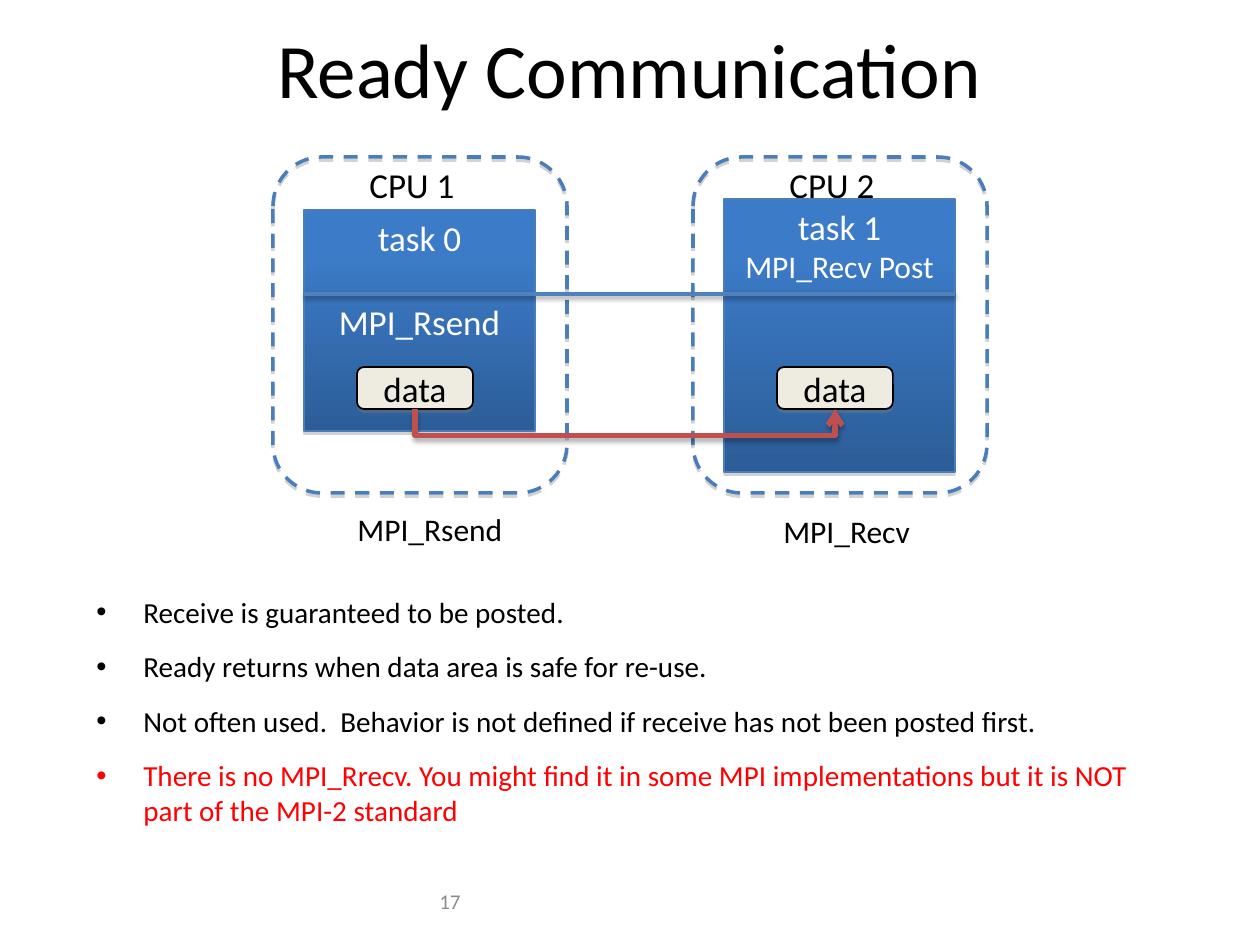
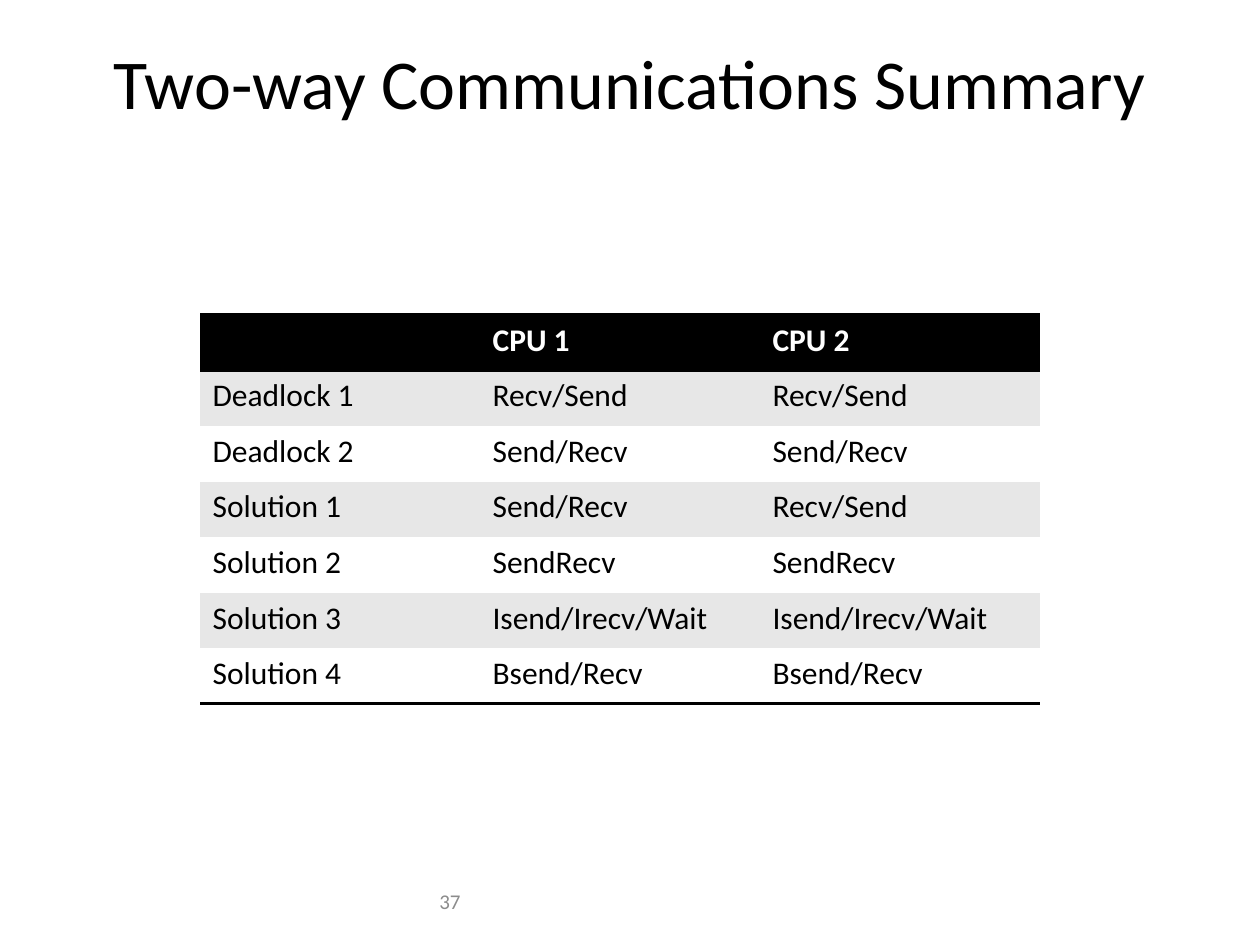
from lxml import etree
from pptx import Presentation
from pptx.dml.color import RGBColor
from pptx.enum.dml import MSO_LINE
from pptx.enum.shapes import MSO_CONNECTOR, MSO_SHAPE
from pptx.enum.text import MSO_ANCHOR, PP_ALIGN
from pptx.oxml.ns import qn
from pptx.util import Pt

SCALE = 914400 / 126
FONT = "Calibri"
BLACK, WHITE, RED, GREY = "000000", "FFFFFF", "FF0000", "8C8C8C"
BLUE, LINE_BLUE, ARROW_RED, CREAM = "4A7EBB", "4F81BD", "C0504D", "EEECE1"
BOX_TOP, BOX_BOTTOM = "3C7BC7", "2C5D98"
BAND = "E7E7E7"
NO_STYLE = "{2D5ABB26-0587-4C30-8999-92F81FD0307C}"
LEFT, CENTER, RIGHT = PP_ALIGN.LEFT, PP_ALIGN.CENTER, PP_ALIGN.RIGHT
TOP, MIDDLE = MSO_ANCHOR.TOP, MSO_ANCHOR.MIDDLE
RECT, ROUND = MSO_SHAPE.RECTANGLE, MSO_SHAPE.ROUNDED_RECTANGLE
STRAIGHT, ELBOW = MSO_CONNECTOR.STRAIGHT, MSO_CONNECTOR.ELBOW
BOTTOM_SITE = 2
SOFT_SHADOW = ("808080", 35, 0, 1.8)

READY = {"title": "Ready Communication", "title_size": 44, "title_height": 136, "number": "17"}
SUMMARY = {"title": "Two-way Communications Summary", "title_size": 40,
           "title_height": 164, "number": "37"}

CPU_X, CPU_PITCH, CPU_Y, CPU_W, CPU_H = 273, 420, 157, 294, 336
CPUS = [
    {"name": "CPU 1", "task_y": 210, "task_h": 221,
     "lines": [("task 0", 20, 0), ("MPI_Rsend", 20, 24.4)],
     "caption": "MPI_Rsend", "caption_box": (345, 504, 171, 50)},
    {"name": "CPU 2", "task_y": 199, "task_h": 273,
     "lines": [("task 1", 20, 0), ("MPI_Recv Post", 18, 0)],
     "caption": "MPI_Recv", "caption_box": (771, 506, 154, 50)},
]
BULLETS = [
    ("Receive is guaranteed to be posted.", BLACK),
    ("Ready returns when data area is safe for re-use.", BLACK),
    ("Not often used.  Behavior is not defined if receive has not been posted first.", BLACK),
    ("There is no MPI_Rrecv. You might find it in some MPI implementations "
     "but it is NOT part of the MPI-2 standard", RED),
]
ORDERINGS = [
    ("", "CPU 1", "CPU 2"),
    ("Deadlock 1", "Recv/Send", "Recv/Send"),
    ("Deadlock 2", "Send/Recv", "Send/Recv"),
    ("Solution 1", "Send/Recv", "Recv/Send"),
    ("Solution 2", "SendRecv", "SendRecv"),
    ("Solution 3", "Isend/Irecv/Wait", "Isend/Irecv/Wait"),
    ("Solution 4", "Bsend/Recv", "Bsend/Recv"),
]


def px(n):
    return round(n * SCALE)


def box(*lengths):
    return [px(n) for n in lengths]


def rgb(color):
    return RGBColor.from_string(color)


def add_xml(parent, tag, **attrs):
    return etree.SubElement(parent, qn(tag), {k: str(v) for k, v in attrs.items()})


def write(tf, text, size=18, color=BLACK, bold=False, align=LEFT, before=0, first=True):
    """Put one formatted paragraph into a text frame and return it."""
    p = tf.paragraphs[0] if first else tf.add_paragraph()
    p.alignment, p.space_before = align, Pt(before)
    r = p.add_run()
    r.text = text
    r.font.name, r.font.size, r.font.bold = FONT, Pt(size), bold
    r.font.color.rgb = rgb(color)
    return p


def add_text(s, place, text, anchor=TOP, wrap=True, **style):
    tf = s.shapes.add_textbox(*box(*place)).text_frame
    tf.word_wrap, tf.vertical_anchor = wrap, anchor
    write(tf, text, **style)


def add_shadow(shape, color, alpha, blur, distance):
    """Give a shape or connector a shadow that falls straight down."""
    effects = add_xml(shape._element.spPr, "a:effectLst")
    shadow = add_xml(effects, "a:outerShdw", blurRad=Pt(blur), dist=Pt(distance),
                     dir=5400000, rotWithShape=0)
    add_xml(add_xml(shadow, "a:srgbClr", val=color), "a:alpha", val=alpha * 1000)


def add_box(s, kind, place, line, width, fill=None):
    sp = s.shapes.add_shape(kind, *box(*place))
    if fill:
        sp.fill.solid()
        sp.fill.fore_color.rgb = rgb(fill)
    else:
        sp.fill.background()
    sp.line.color.rgb, sp.line.width = rgb(line), Pt(width)
    add_shadow(sp, *SOFT_SHADOW)
    return sp


def add_line(s, kind, ends, color, width, shadow):
    cxn = s.shapes.add_connector(kind, *box(*ends))
    cxn.line.color.rgb, cxn.line.width = rgb(color), Pt(width)
    add_shadow(cxn, *shadow)
    return cxn


def add_slide(prs, content):
    s = prs.slides.add_slide(prs.slide_layouts[6])
    add_text(s, (94, 0, 1071, content["title_height"]), content["title"],
             anchor=MIDDLE, size=content["title_size"], align=CENTER)
    add_text(s, (179, 876, 294, 50), content["number"],
             anchor=MIDDLE, size=12, color=GREY, align=RIGHT)
    return s


def add_task(s, x, cpu):
    task = add_box(s, RECT, (x, cpu["task_y"], 231, cpu["task_h"]), BLUE, 0.75)
    task.fill.gradient()
    task.fill.gradient_angle = 270
    for stop, color, position in zip(task.fill.gradient_stops, (BOX_TOP, BOX_BOTTOM), (0.2, 1)):
        stop.color.rgb, stop.position = rgb(color), position
    tf = task.text_frame
    tf.vertical_anchor = TOP
    for i, (text, size, before) in enumerate(cpu["lines"]):
        write(tf, text, size=size, color=WHITE, align=CENTER, before=before, first=i == 0)


def add_data(s, x):
    data = add_box(s, ROUND, (x, 367, 116, 42), BLACK, 1, CREAM)
    data.text_frame.vertical_anchor = MIDDLE
    write(data.text_frame, "data", size=20, align=CENTER)
    return data


def add_data_arrow(s, sender, receiver):
    """Run a U-shaped arrow below the two data boxes, from sender to receiver."""
    cxn = add_line(s, ELBOW, (0, 0, 0, 0), ARROW_RED, 3, (BLACK, 35, 3.1, 1.8))
    cxn.begin_connect(sender, BOTTOM_SITE)
    cxn.end_connect(receiver, BOTTOM_SITE)
    start = sender.left + sender.width // 2
    span = receiver.left - sender.left
    y = sender.top + sender.height
    thickness, depth = 1588, px(29)
    # A quarter turn makes the connector leave and arrive vertically.
    cxn.left, cxn.top = start + (span - thickness) // 2, y - span // 2
    cxn.width, cxn.height = thickness, span
    xfrm = cxn._element.spPr.find(qn("a:xfrm"))
    for name, value in (("rot", "16200000"), ("flipH", "1"), ("flipV", "0")):
        xfrm.set(name, value)
    guides = cxn._element.spPr.find(qn("a:prstGeom")).find(qn("a:avLst"))
    add_xml(guides, "a:gd", name="adj1", fmla=f"val {depth * 100000 // thickness}")
    add_xml(cxn.line._get_or_add_ln(), "a:tailEnd", type="arrow")


def add_bullets(s):
    tf = s.shapes.add_textbox(*box(84, 588, 1071, 231)).text_frame
    tf.word_wrap = True
    for i, (text, color) in enumerate(BULLETS):
        p = write(tf, text, size=16.65, color=color, before=11.2, first=i == 0)
        pPr = p._p.get_or_add_pPr()
        pPr.set("marL", str(px(47)))
        pPr.set("indent", str(-px(47)))
        add_xml(pPr, "a:buFont", typeface="Arial")
        add_xml(pPr, "a:buChar", char="•")


def build_ready(prs):
    s = add_slide(prs, READY)
    add_bullets(s)
    data_boxes = []
    for i, cpu in enumerate(CPUS):
        x = CPU_X + i * CPU_PITCH
        add_text(s, cpu["caption_box"], cpu["caption"], wrap=False)
        frame = add_box(s, ROUND, (x, CPU_Y, CPU_W, CPU_H), BLUE, 2)
        frame.line.dash_style = MSO_LINE.DASH
        add_text(s, (x + 84, CPU_Y, 111, 55), cpu["name"], size=20)
        add_task(s, x + 31, cpu)
        data_boxes.append(add_data(s, x + 84))
    add_data_arrow(s, *data_boxes)
    add_line(s, STRAIGHT, (304, 294, 955, 294), LINE_BLUE, 2, (BLACK, 38, 3.1, 1.6))


def add_border(cell, side):
    ln = add_xml(cell._tc.get_or_add_tcPr(), side, w=Pt(2))
    add_xml(add_xml(ln, "a:solidFill"), "a:srgbClr", val=BLACK)


def build_summary(prs):
    s = add_slide(prs, SUMMARY)
    last = len(ORDERINGS) - 1
    table = s.shapes.add_table(len(ORDERINGS), 3, *box(200, 315, 840, 389)).table
    table._tbl.tblPr.find(qn("a:tableStyleId")).text = NO_STYLE
    for i, row in enumerate(ORDERINGS):
        header = i == 0
        fill = BLACK if header else BAND if i % 2 else WHITE
        for j, text in enumerate(row):
            cell = table.cell(i, j)
            if header:
                add_border(cell, "a:lnT")
            if i in (0, last):
                add_border(cell, "a:lnB")
            cell.fill.solid()
            cell.fill.fore_color.rgb = rgb(fill)
            if text:
                write(cell.text_frame, text, color=WHITE if header else BLACK, bold=header)


def main():
    prs = Presentation()
    prs.slide_width, prs.slide_height = box(1260, 945)
    build_ready(prs)
    build_summary(prs)
    prs.save("out.pptx")


if __name__ == "__main__":
    main()
